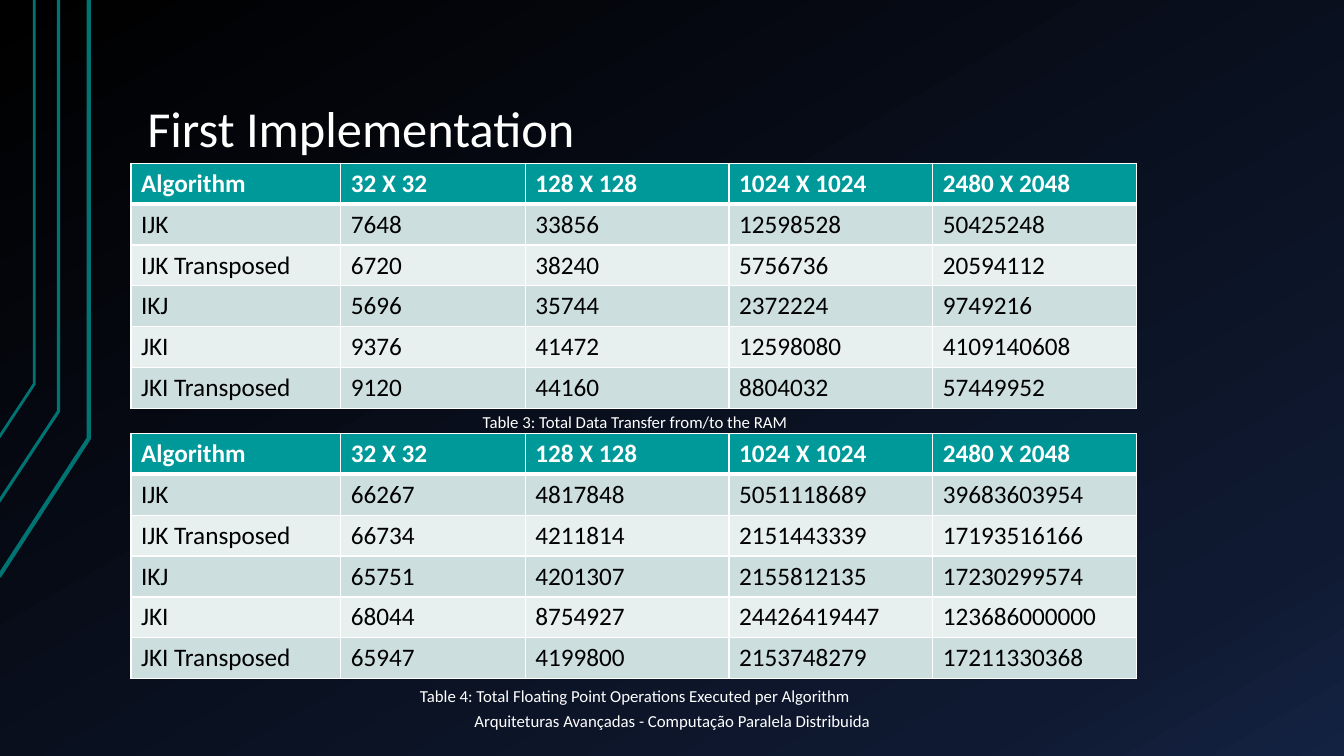
import dataclasses

import lxml.etree
import pptx
import pptx.dml.color
import pptx.enum.text
import pptx.oxml.ns
import pptx.util

Pt = pptx.util.Pt
qn = pptx.oxml.ns.qn
ALIGN = pptx.enum.text.PP_ALIGN
ANCHOR = pptx.enum.text.MSO_ANCHOR

FONT = "Calibri"
COLOURS = {
    "white": "FFFFFF", "black": "000000", "navy": "0F1931", "blue": "142242",
    "teal line": "007373", "header": "009999", "odd row": "CCDEDE", "even row": "E7EFEF",
}
BACKGROUND_STOPS = [(0, "black"), (85, "navy"), (100, "blue")]
HEADINGS = ["Algorithm", "32 X 32", "128 X 128", "1024 X 1024", "2480 X 2048"]
ALGORITHMS = ["IJK", "IJK Transposed", "IKJ", "JKI", "JKI Transposed"]
COLUMN_WIDTHS = [149.8, 131.8, 145.6, 145.6, 145.6]
TABLE_LEFT = 93.6
ROW_HEIGHT = 29.16


@dataclasses.dataclass
class Trace:
    points: list[tuple[float, float]]
    weight: float


@dataclasses.dataclass
class Results:
    top: float
    values: list[list[int]]


@dataclasses.dataclass
class Label:
    text: str
    left: float
    top: float
    width: float
    height: float
    margins: tuple[float, float] = (7.2, 3.6)
    anchor: ANCHOR = ANCHOR.TOP


TRACES = [
    Trace([(-0.7, 411.8), (63.4, 313.2), (63.4, 0)], 3),
    Trace([(-1.4, 359.3), (41.8, 293.8), (41.8, 0)], 2.25),
    Trace([(-0.7, 312.5), (24.5, 274.3), (24.5, 0)], 2),
]

TABLES = [
    Results(116.6, [
        [7648, 33856, 12598528, 50425248],
        [6720, 38240, 5756736, 20594112],
        [5696, 35744, 2372224, 9749216],
        [9376, 41472, 12598080, 4109140608],
        [9120, 44160, 8804032, 57449952],
    ]),
    Results(309.6, [
        [66267, 4817848, 5051118689, 39683603954],
        [66734, 4211814, 2151443339, 17193516166],
        [65751, 4201307, 2155812135, 17230299574],
        [68044, 8754927, 24426419447, 123686000000],
        [65947, 4199800, 2153748279, 17211330368],
    ]),
]

LABELS = [
    Label("Arquiteturas Avançadas - Computação Paralela Distribuida",
          272.2, 500.4, 416.2, 28.8, (9.4, 5), ANCHOR.MIDDLE),
    Label("Table 3: Total Data Transfer from/to the RAM", 94.3, 290.9, 718.6, 21.6),
    Label("Table 4: Total Floating Point Operations Executed per Algorithm",
          94.3, 486, 718.6, 21.6),
]


def rgb(name: str) -> pptx.dml.color.RGBColor:
    return pptx.dml.color.RGBColor.from_string(COLOURS[name])


def add_colour(parent, name: str) -> None:
    lxml.etree.SubElement(parent, qn("a:srgbClr"), val=COLOURS[name])


def paint_background(page) -> None:
    fill = page.background.fill
    fill.gradient()
    fill.gradient_angle = 300
    stops = next(page.element.iter(qn("a:gsLst")))
    for stop in list(stops):
        stops.remove(stop)
    for percent, name in BACKGROUND_STOPS:
        stop = lxml.etree.SubElement(stops, qn("a:gs"), pos=str(percent * 1000))
        add_colour(stop, name)


def write(frame, text: str, size: float, colour: str, bold: bool = False,
          align: ALIGN = ALIGN.LEFT):
    para = frame.paragraphs[0]
    para.alignment = align
    span = para.add_run()
    span.text = text
    span.font.name = FONT
    span.font.size = Pt(size)
    span.font.bold = bold
    span.font.color.rgb = rgb(colour)
    return para


def set_frame(frame, margins: tuple[float, float], anchor: ANCHOR) -> None:
    frame.word_wrap = True
    frame.vertical_anchor = anchor
    frame.margin_left = frame.margin_right = Pt(margins[0])
    frame.margin_top = frame.margin_bottom = Pt(margins[1])


def draw_trace(page, trace: Trace) -> None:
    points = [(Pt(x), Pt(y)) for x, y in trace.points]
    builder = page.shapes.build_freeform(*points[0], scale=1.0)
    builder.add_line_segments(points[1:], close=False)
    shape = builder.convert_to_shape()
    shape.shadow.inherit = False
    shape.fill.background()
    shape.line.color.rgb = rgb("teal line")
    shape.line.width = Pt(trace.weight)


def draw_title(page, text: str) -> None:
    box = page.shapes.title
    box.left, box.top, box.width, box.height = Pt(95.8), Pt(21.6), Pt(815.8), Pt(96.5)
    set_frame(box.text_frame, (9.4, 5), ANCHOR.BOTTOM)
    write(box.text_frame, text, 36, "white").line_spacing = 0.9


def draw_label(page, label: Label) -> None:
    box = page.shapes.add_textbox(
        Pt(label.left), Pt(label.top), Pt(label.width), Pt(label.height))
    set_frame(box.text_frame, label.margins, label.anchor)
    write(box.text_frame, label.text, 12, "white", align=ALIGN.CENTER)


def set_borders(cell, row: int) -> None:
    properties = cell._tc.get_or_add_tcPr()
    thick_side = {0: "B", 1: "T"}.get(row)  # the rule under the header
    for side in "LRTB":
        weight = 3 if side == thick_side else 1
        line = lxml.etree.SubElement(properties, qn(f"a:ln{side}"), w=str(Pt(weight)))
        add_colour(lxml.etree.SubElement(line, qn("a:solidFill")), "white")


def draw_results(page, results: Results) -> None:
    rows = [HEADINGS] + [[name, *map(str, numbers)]
                         for name, numbers in zip(ALGORITHMS, results.values)]
    table = page.shapes.add_table(
        len(rows), len(HEADINGS), Pt(TABLE_LEFT), Pt(results.top),
        Pt(sum(COLUMN_WIDTHS)), Pt(ROW_HEIGHT * len(rows))).table
    for column, width in zip(table.columns, COLUMN_WIDTHS):
        column.width = Pt(width)
    for r, texts in enumerate(rows):
        table.rows[r].height = Pt(ROW_HEIGHT)
        fill = "header" if r == 0 else "odd row" if r % 2 else "even row"
        for c, text in enumerate(texts):
            cell = table.cell(r, c)
            set_borders(cell, r)
            cell.fill.solid()
            cell.fill.fore_color.rgb = rgb(fill)
            write(cell.text_frame, text, 18, "black" if r else "white", bold=r == 0)


def main() -> None:
    deck = pptx.Presentation()
    deck.slide_width, deck.slide_height = Pt(960), Pt(540)
    page = deck.slides.add_slide(deck.slide_layouts[5])

    # Background and corner lines
    paint_background(page)
    for trace in TRACES:
        draw_trace(page, trace)

    # Title, tables, captions and footer
    draw_title(page, "First Implementation")
    for results in TABLES:
        draw_results(page, results)
    for label in LABELS:
        draw_label(page, label)

    deck.save("out.pptx")


if __name__ == "__main__":
    main()
